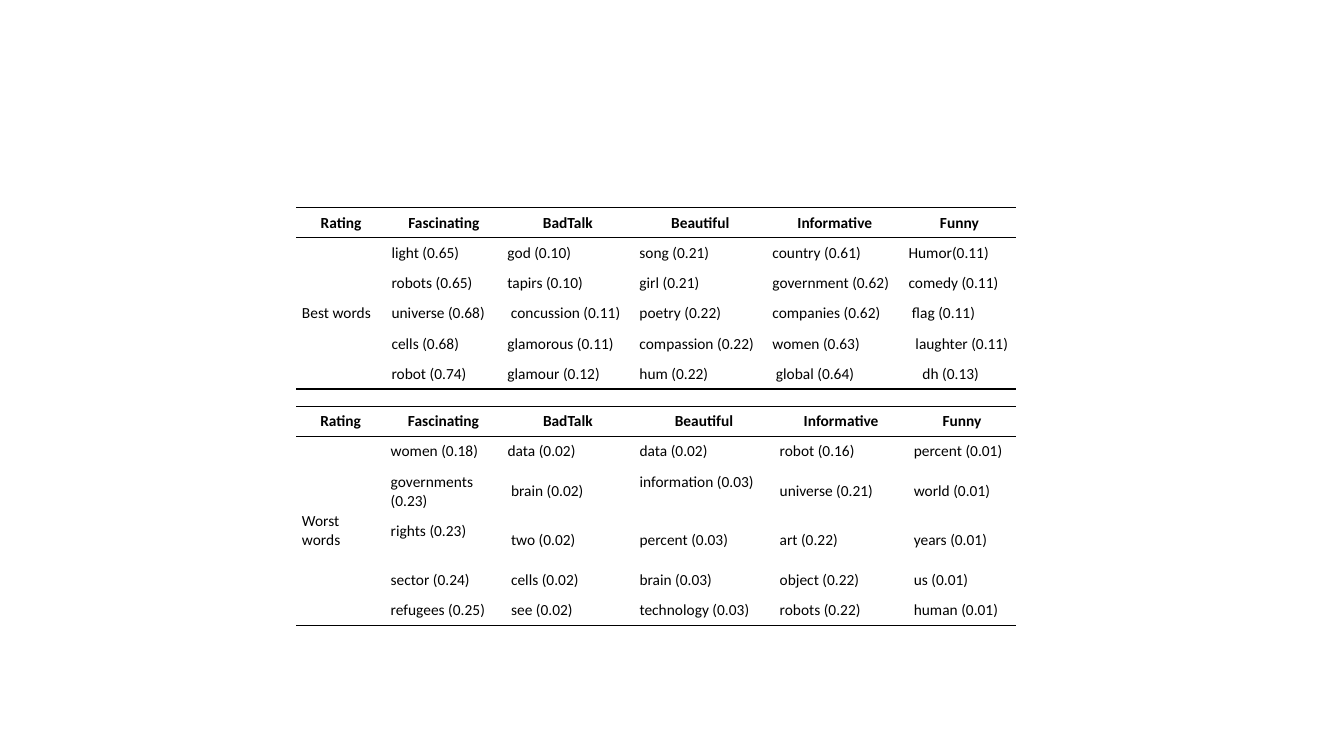
from dataclasses import dataclass, field

from lxml import etree
from pptx import Presentation
from pptx.dml.color import RGBColor
from pptx.enum import text as t
from pptx.oxml import ns
from pptx.util import Pt

BLACK = RGBColor(0, 0, 0)
FONT = "Calibri"
SIZE = 11
INSET = 4
SPACE = 2.5
LEFT = 211.7
LINE = 21.55
TALL = 34.95
PLAIN = "{2D5ABB26-0587-4C30-8999-92F81FD0307C}"
HEAD = ["Rating", "Fascinating", "BadTalk", "Beautiful", "Informative", "Funny"]


@dataclass
class Grid:
    """One word table; shifts maps (row, column) to a left indent in spaces."""
    label: str
    top: float
    widths: list[float]
    heights: list[float]
    words: list[list[str]]
    shifts: dict[tuple[int, int], int]
    high: set[tuple[int, int]] = field(default_factory=set)


GRIDS = [
    Grid("Best words", 148.3, [64, 82.8, 94.3, 95, 97.2, 80.8], [LINE] * 6, [
        ["light (0.65)", "god (0.10)", "song (0.21)", "country (0.61)", "Humor(0.11)"],
        ["robots (0.65)", "tapirs (0.10)", "girl (0.21)", "government (0.62)", "comedy (0.11)"],
        ["universe (0.68)", "concussion (0.11)", "poetry (0.22)", "companies (0.62)", "flag (0.11)"],
        ["cells (0.68)", "glamorous (0.11)", "compassion (0.22)", "women (0.63)", "laughter (0.11)"],
        ["robot (0.74)", "glamour (0.12)", "hum (0.22)", "global (0.64)", "dh (0.13)"],
    ], {(3, 2): 1, (3, 5): 1, (4, 5): 2, (5, 4): 1, (5, 5): 4}),
    Grid("Worst words", 290.2, [63.4, 83.5, 94.3, 100.1, 95.8, 77],
         [LINE, LINE, TALL, TALL, LINE, LINE], [
        ["women (0.18)", "data (0.02)", "data (0.02)", "robot (0.16)", "percent (0.01)"],
        ["governments (0.23)", "brain (0.02)", "information (0.03)", "universe (0.21)", "world (0.01)"],
        ["rights (0.23)", "two (0.02)", "percent (0.03)", "art (0.22)", "years (0.01)"],
        ["sector (0.24)", "cells (0.02)", "brain (0.03)", "object (0.22)", "us (0.01)"],
        ["refugees (0.25)", "see (0.02)", "technology (0.03)", "robots (0.22)", "human (0.01)"],
    ], {(row, 2): 1 for row in range(2, 6)}, {(2, 3), (3, 1)}),
]


def rule(cell, sides: list[str]) -> None:
    """Draw black borders on the named sides of a cell."""
    props = cell._tc.get_or_add_tcPr()
    for spot, side in enumerate(sides):
        line = etree.Element(ns.qn(f"a:ln{side}"), w=str(Pt(1)))
        fill = etree.SubElement(line, ns.qn("a:solidFill"))
        etree.SubElement(fill, ns.qn("a:srgbClr"), val=str(BLACK))
        props.insert(spot, line)


def style(cell, words: str, head: bool, shift: int, high: bool) -> None:
    cell.fill.background()
    cell.margin_left = Pt(INSET + shift * SPACE)
    cell.margin_right = cell.margin_top = cell.margin_bottom = Pt(INSET)
    cell.vertical_anchor = t.MSO_ANCHOR.TOP if high else t.MSO_ANCHOR.MIDDLE
    cell.text_frame.text = words
    para = cell.text_frame.paragraphs[0]
    para.alignment = t.PP_ALIGN.CENTER if head else t.PP_ALIGN.LEFT
    for font in [para.font] + [run.font for run in para.runs]:
        font.name, font.size, font.bold = FONT, Pt(SIZE), head
        font.color.rgb = BLACK


def draw(slide, grid: Grid) -> None:
    rows = [HEAD] + [[""] + line for line in grid.words]
    rows[1][0] = grid.label
    last = len(rows) - 1
    frame = slide.shapes.add_table(
        len(rows), len(HEAD), Pt(LEFT), Pt(grid.top),
        Pt(sum(grid.widths)), Pt(sum(grid.heights)))
    table = frame.table
    table.first_row = table.horz_banding = False
    table._tbl.tblPr.find(ns.qn("a:tableStyleId")).text = PLAIN
    for col, width in zip(table.columns, grid.widths):
        col.width = Pt(width)
    for row, height in zip(table.rows, grid.heights):
        row.height = Pt(height)
    for r, line in enumerate(rows):
        for c, words in enumerate(line):
            cell = table.cell(r, c)
            style(cell, words, r == 0, grid.shifts.get((r, c), 0), (r, c) in grid.high)
            if r == 0:
                rule(cell, ["T", "B"])
            elif r == last or (r, c) == (1, 0):
                rule(cell, ["B"])
    table.cell(1, 0).merge(table.cell(last, 0))


def main() -> None:
    deck = Presentation()
    deck.slide_width, deck.slide_height = Pt(960), Pt(540)
    slide = deck.slides.add_slide(deck.slide_layouts[6])
    for grid in GRIDS:
        draw(slide, grid)
    deck.save("out.pptx")


if __name__ == "__main__":
    main()
